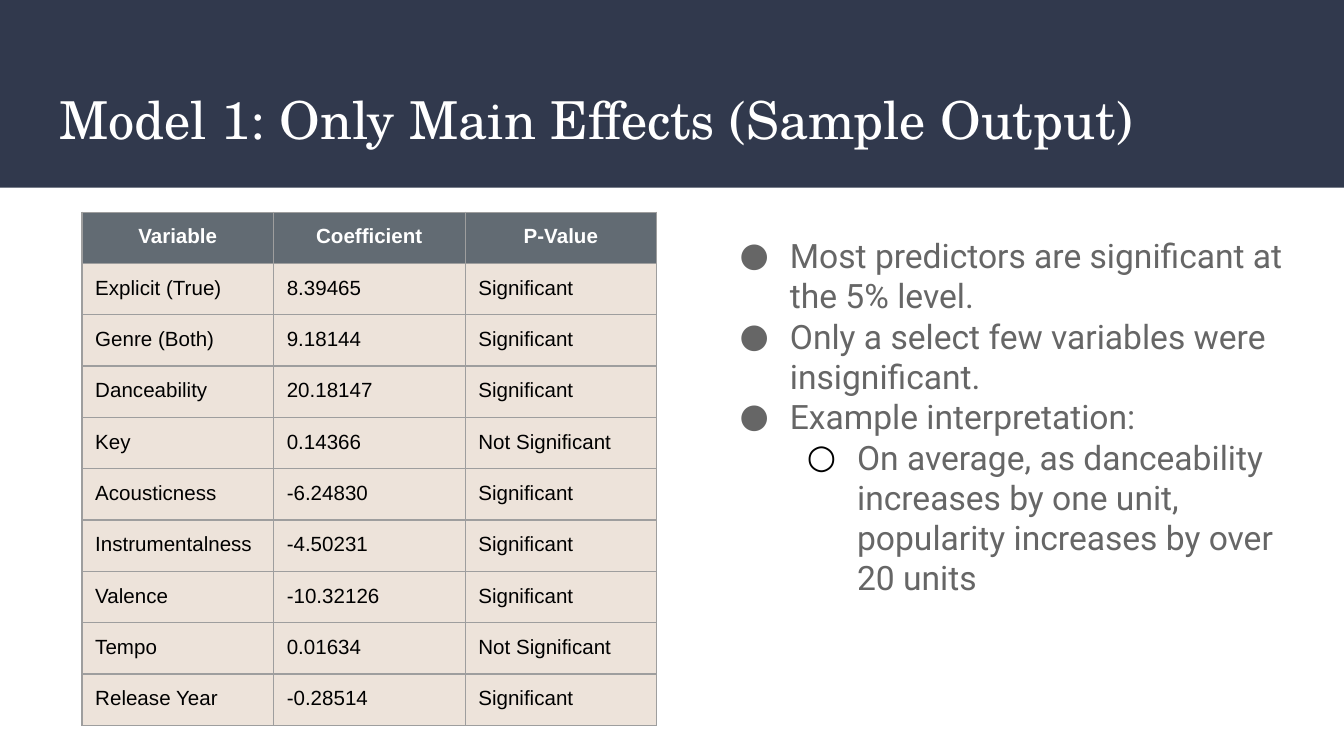
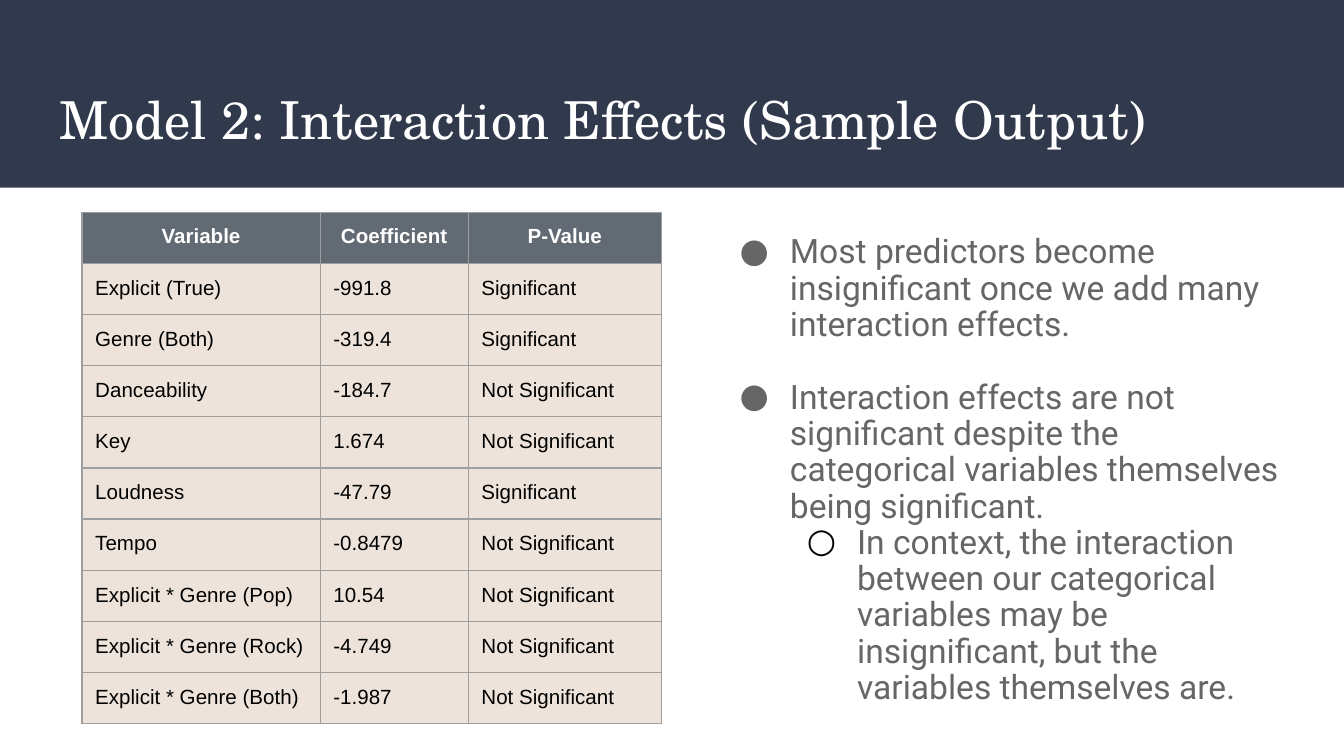
from pptx import Presentation
from pptx.dml.color import RGBColor
from pptx.enum.shapes import MSO_SHAPE
from pptx.enum.text import MSO_ANCHOR, PP_ALIGN
from pptx.oxml.ns import qn
from pptx.util import Cm, Pt
from lxml.etree import SubElement

# Shared look
NAVY = RGBColor(0x31, 0x39, 0x4D)
SLATE = RGBColor(0x62, 0x6B, 0x73)
SAND = RGBColor(0xED, 0xE3, 0xDA)
RULE = RGBColor(0x9E, 0x9E, 0x9E)
GREY = RGBColor(0x66, 0x66, 0x66)
WHITE = RGBColor(0xFF, 0xFF, 0xFF)
BLACK = RGBColor(0x00, 0x00, 0x00)
PAD = Cm(0.25)
WIDTH, HEIGHT = Cm(25.4), Cm(14.29)

# Content
YES, NO = "Significant", "Not Significant"
HEAD = ("Variable", "Coefficient", "P-Value")
BULLETS = (("●", GREY), ("○", BLACK))  # mark and colour by level

MODELS = [
    {
        "title": "Model 1: Only Main Effects (Sample Output)",
        "cols": (3.62, 3.62, 3.62),
        "row": 0.97,
        "rows": [
            ("Explicit (True)", "8.39465", YES),
            ("Genre (Both)", "9.18144", YES),
            ("Danceability", "20.18147", YES),
            ("Key", "0.14366", NO),
            ("Acousticness", "-6.24830", YES),
            ("Instrumentalness", "-4.50231", YES),
            ("Valence", "-10.32126", YES),
            ("Tempo", "0.01634", NO),
            ("Release Year", "-0.28514", YES),
        ],
        "height": 8.53,
        "spacing": 1.0,
        # level, space before in points, text
        "notes": [
            (0, 0, "Most predictors are significant at the 5% level."),
            (0, 0, "Only a select few variables were insignificant."),
            (0, 0, "Example interpretation:"),
            (1, 0, "On average, as danceability increases by one unit, "
                   "popularity increases by over 20 units"),
        ],
    },
    {
        "title": "Model 2: Interaction Effects (Sample Output)",
        "cols": (4.5, 2.8, 3.65),
        "row": 0.96,
        "rows": [
            ("Explicit (True)", "-991.8", YES),
            ("Genre (Both)", "-319.4", YES),
            ("Danceability", "-184.7", NO),
            ("Key", "1.674", NO),
            ("Loudness", "-47.79", YES),
            ("Tempo", "-0.8479", NO),
            ("Explicit * Genre (Pop)", "10.54", NO),
            ("Explicit * Genre (Rock)", "-4.749", NO),
            ("Explicit * Genre (Both)", "-1.987", NO),
        ],
        "height": 9.6,
        "spacing": 0.9,
        "notes": [
            (0, 0, "Most predictors become insignificant once we add many "
                   "interaction effects."),
            (0, 19.5, "Interaction effects are not significant despite the "
                      "categorical variables themselves being significant."),
            (1, 0, "In context, the interaction between our categorical "
                   "variables may be insignificant, but the variables "
                   "themselves are."),
        ],
    },
]


def style(para, name, size, color, bold=False):
    for run in para.runs:
        font = run.font
        font.name, font.size, font.bold = name, Pt(size), bold
        font.color.rgb = color


def pad(box):
    box.margin_left = box.margin_right = PAD
    box.margin_top = box.margin_bottom = PAD


def add_box(slide, left, top, width, height):
    frame = slide.shapes.add_textbox(
        Cm(left), Cm(top), Cm(width), Cm(height)).text_frame
    frame.word_wrap = True
    pad(frame)
    return frame


def add_color(node, color):
    SubElement(node, qn("a:srgbClr"), val=str(color))


# Navy band and title
def add_title(slide, text):
    band = slide.shapes.add_shape(MSO_SHAPE.RECTANGLE, 0, 0, WIDTH, Cm(3.55))
    band.shadow.inherit = False
    band.fill.solid()
    band.fill.fore_color.rgb = NAVY
    band.line.fill.background()
    frame = add_box(slide, 0.87, 1.4, 23.67, 1.73)
    frame.text = text
    style(frame.paragraphs[0], "TeX Gyre Schola", 28, WHITE)


def add_borders(cell):
    props = cell._tc.get_or_add_tcPr()
    for side in ("L", "R", "T", "B"):
        line = SubElement(props, qn(f"a:ln{side}"), w=str(Pt(0.75)))
        add_color(SubElement(line, qn("a:solidFill")), RULE)


# Coefficient table
def add_grid(slide, model):
    rows = [HEAD] + model["rows"]
    cols = model["cols"]
    table = slide.shapes.add_table(
        len(rows), len(cols), Cm(1.55), Cm(4.01),
        Cm(sum(cols)), Cm(model["row"] * len(rows))).table
    for col, width in zip(table.columns, cols):
        col.width = Cm(width)
    for r, row in enumerate(rows):
        table.rows[r].height = Cm(model["row"])
        top = r == 0
        for c, text in enumerate(row):
            cell = table.cell(r, c)
            cell.text = text
            pad(cell)
            cell.vertical_anchor = MSO_ANCHOR.TOP
            add_borders(cell)
            cell.fill.solid()
            cell.fill.fore_color.rgb = SLATE if top else SAND
            para = cell.text_frame.paragraphs[0]
            para.alignment = PP_ALIGN.CENTER if top else PP_ALIGN.LEFT
            style(para, "Arial", 11, WHITE if top else BLACK, top)


def add_bullet(para, level):
    mark, color = BULLETS[level]
    props = para._p.get_or_add_pPr()
    props.set("marL", str(Cm(1.27 * (level + 1))))
    props.set("indent", str(Cm(-0.95)))
    add_color(SubElement(props, qn("a:buClr")), color)
    SubElement(props, qn("a:buFont"), typeface="Roboto")
    SubElement(props, qn("a:buChar"), char=mark)


# Bulleted findings
def add_notes(slide, model):
    frame = add_box(slide, 13.41, 4.19, 11.1, model["height"])
    for i, (level, gap, text) in enumerate(model["notes"]):
        para = frame.add_paragraph() if i else frame.paragraphs[0]
        para.text = text
        para.level = level
        add_bullet(para, level)
        para.line_spacing = model["spacing"]
        if gap:
            para.space_before = Pt(gap)
        style(para, "Roboto", 18, GREY)


def main():
    deck = Presentation()
    deck.slide_width, deck.slide_height = WIDTH, HEIGHT
    for model in MODELS:
        slide = deck.slides.add_slide(deck.slide_layouts[6])
        add_title(slide, model["title"])
        add_grid(slide, model)
        add_notes(slide, model)
    deck.save("out.pptx")


if __name__ == "__main__":
    main()
